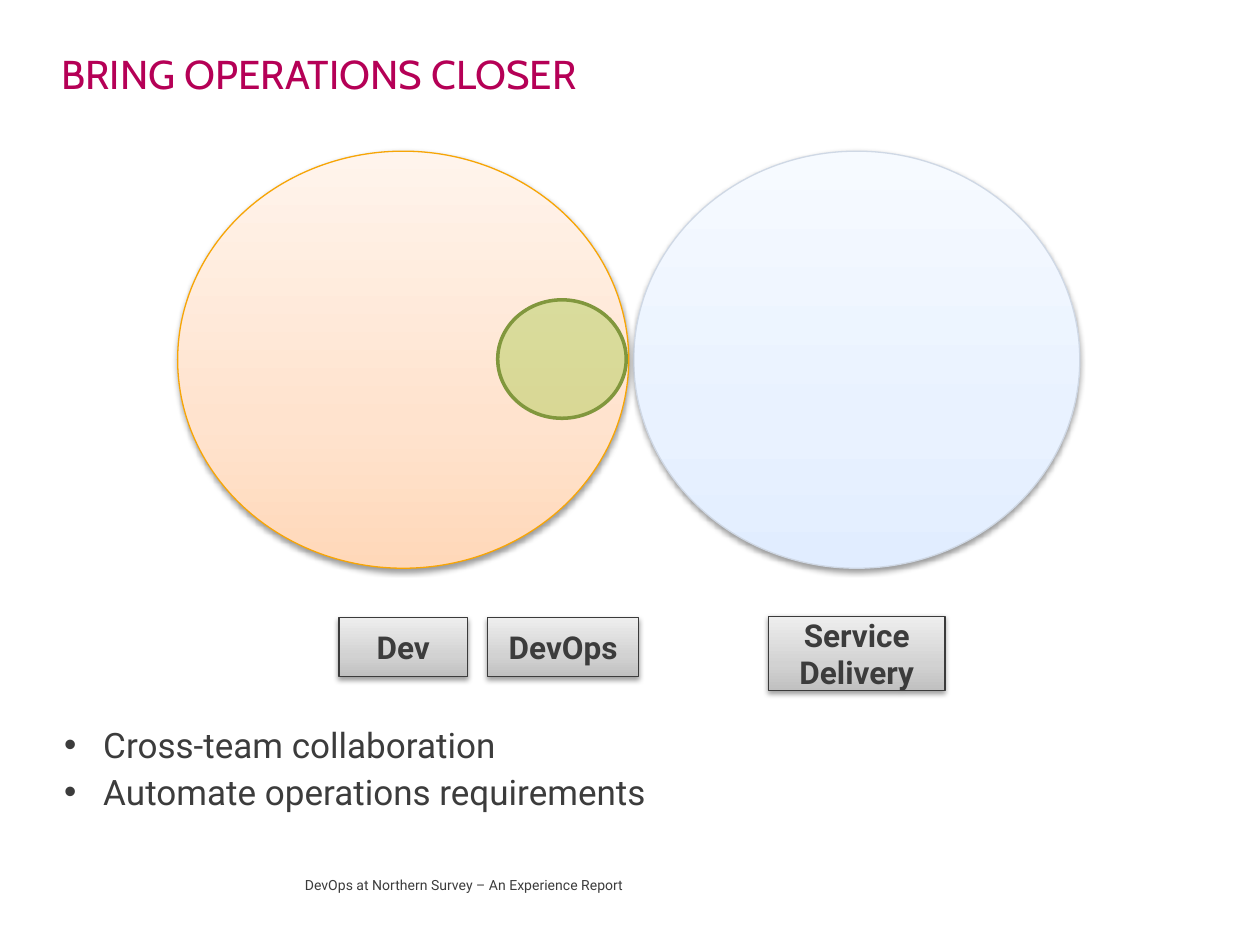
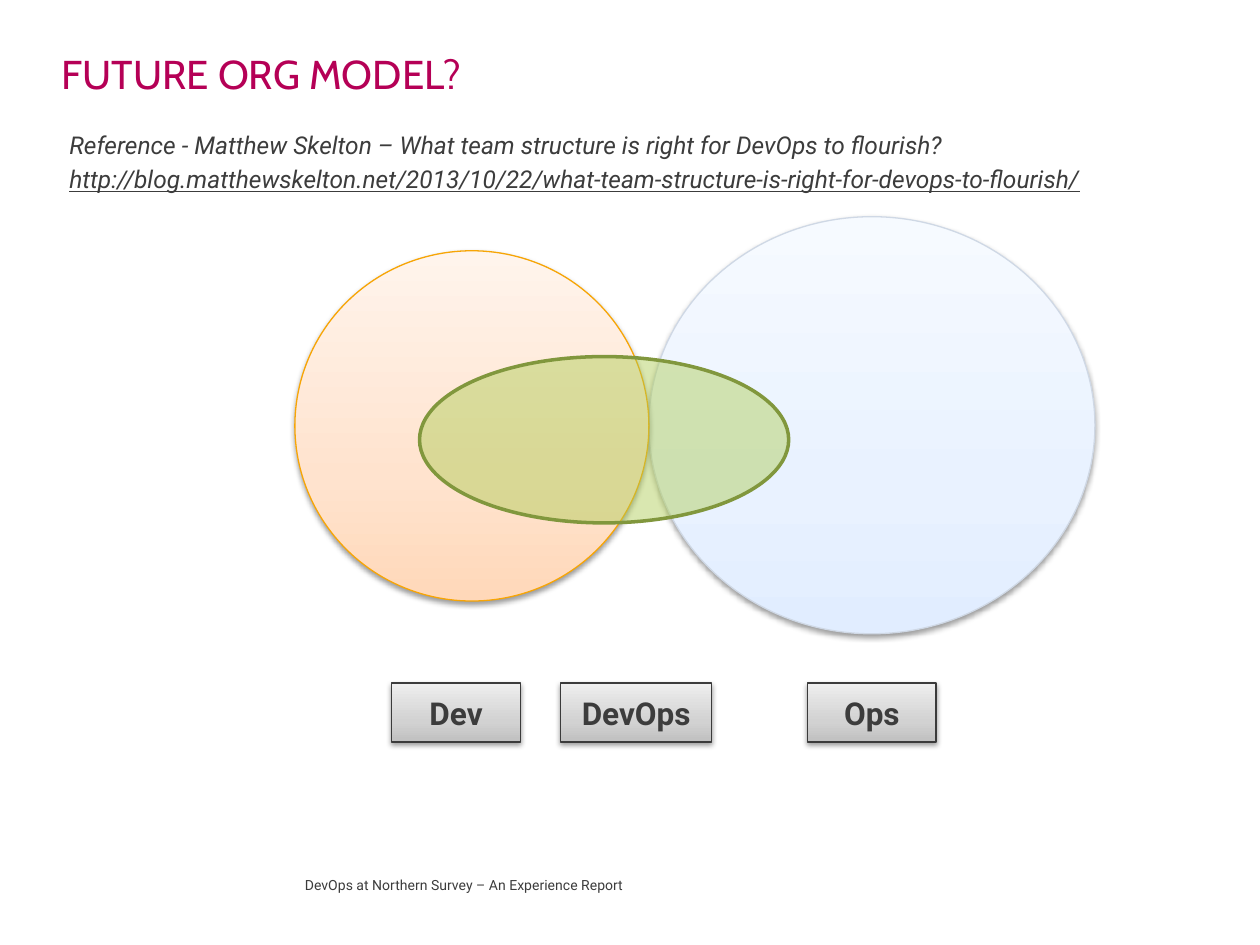
from pptx import Presentation
from pptx.dml.color import RGBColor as RGB
from pptx.enum.shapes import MSO_SHAPE as Kind
from pptx.enum.text import MSO_ANCHOR as Anchor, PP_ALIGN as Align
from pptx.oxml import parse_xml
from pptx.oxml.ns import nsdecls
from pptx.util import Inches, Pt
from lxml.etree import SubElement as Sub

INK = {"title": "B50056", "text": "3C3C3C"}
# Fill stops run from bottom to top
LOOKS = {
    "ops": {"line": "CFD8E5", "stops": ["E1EDFF", "E9F2FF", "F6FAFF"]},
    "dev": {"line": "F7A505", "stops": ["FFD8B9", "FFE3CE", "FFF4EC"]},
    "label": {"line": "3B3B3B", "stops": ["C0C0C0", "D2D2D2", "EEEEEE"]},
    "both": {"line": "81973D", "fill": "AECC53"},
}
NS = nsdecls("a")

deck = Presentation()
deck.slide_width, deck.slide_height = Inches(10), Inches(7.5)
# Grid of 100 columns by 75 rows
COL, ROW = deck.slide_width / 100, deck.slide_height / 75


def write(shape, lines, size, font="Roboto", color="text", pad=(0, 0, 0.1, 0.05),
          anchor=Anchor.TOP, align=Align.LEFT, gap=0, bullet=False, **style):
    frame = shape.text_frame
    frame.word_wrap = True
    frame.vertical_anchor = anchor
    (frame.margin_left, frame.margin_top,
     frame.margin_right, frame.margin_bottom) = map(Inches, pad)
    for i, line in enumerate(lines):
        para = frame.paragraphs[0] if i == 0 else frame.add_paragraph()
        para.alignment = align
        if i:
            para.space_before = Pt(gap)
        if bullet:
            props = para._p.get_or_add_pPr()
            props.set("marL", str(Inches(0.31)))
            props.set("indent", str(-Inches(0.31)))
            props.append(parse_xml(f'<a:buFont {NS} typeface="Arial"/>'))
            props.append(parse_xml(f'<a:buChar {NS} char="•"/>'))
        run = para.add_run()
        run.text = line
        run.font.name, run.font.size = font, Pt(size)
        run.font.color.rgb = RGB.from_string(INK[color])
        for key, value in style.items():
            setattr(run.font, key, value)
        run.font.underline = True if line.startswith("http") else None


def place(slide, grid, look=None):
    x, y, w, h = grid
    box = [int(v) for v in (x * COL, y * ROW, w * COL, h * ROW)]
    if look is None:
        return slide.shapes.add_textbox(*box)
    kind = Kind.RECTANGLE if look == "label" else Kind.OVAL
    shape = slide.shapes.add_shape(kind, *box)
    tint = LOOKS[look]
    shape.line.color.rgb = RGB.from_string(tint["line"])
    shape.line.width = Pt(2 if "fill" in tint else 0.75)
    shape.shadow.inherit = False
    props = shape._element.spPr
    if "fill" in tint:
        shape.fill.solid()
        shape.fill.fore_color.rgb = RGB.from_string(tint["fill"])
        Sub(props.find(".//{*}solidFill/{*}srgbClr"),
            "{http://schemas.openxmlformats.org/drawingml/2006/main}alpha", val="46000")
        return shape
    stops = "".join(f'<a:gs pos="{pos}000"><a:srgbClr val="{hue}"/></a:gs>'
                    for pos, hue in zip((0, 35, 100), tint["stops"]))
    props.insert(2, parse_xml(
        f'<a:gradFill {NS} rotWithShape="1"><a:gsLst>{stops}</a:gsLst>'
        '<a:lin ang="16200000" scaled="0"/></a:gradFill>'))
    props.find("{*}effectLst").append(parse_xml(
        f'<a:outerShdw {NS} blurRad="{Pt(3.1)}" dist="{Pt(1.6)}" dir="5400000" '
        'rotWithShape="0"><a:srgbClr val="000000"><a:alpha val="38000"/>'
        '</a:srgbClr></a:outerShdw>'))
    return shape


# What each slide shows: circles and labels on the grid
PAGES = [
    {"title": "BRING OPERATIONS CLOSER",
     "rings": [("ops", (50.3, 12, 35.4, 33.1)),
               ("dev", (14.1, 12, 35.8, 33.1)),
               ("both", (39.5, 23.8, 10.2, 9.4))],
     "labels": [("Dev", (26.9, 49, 10.2, 4.7)),
                ("DevOps", (38.7, 49, 12, 4.7)),
                ("Service Delivery", (61, 48.9, 14, 5.9))],
     "body": (5.1, 57.4, 90, 9.2),
     "lines": ["Cross-team collaboration", "Automate operations requirements"],
     "style": {"size": 20, "bullet": True}},
    {"title": "FUTURE ORG MODEL?",
     "rings": [("ops", (51.5, 17.2, 35.4, 33.1)),
               ("dev", (23.4, 19.9, 28.1, 27.8)),
               ("both", (33.3, 28.3, 29.3, 13.2))],
     "labels": [("Dev", (31.1, 54.2, 10.2, 4.7)),
                ("DevOps", (44.5, 54.2, 12, 4.7)),
                ("Ops", (64.1, 54.2, 10.2, 4.7))],
     "body": (5.5, 10.3, 90, 6.3),
     "lines": ["Reference - Matthew Skelton – What team structure is right for "
               "DevOps to flourish?",
               "http://blog.matthewskelton.net/2013/10/22/"
               "what-team-structure-is-right-for-devops-to-flourish/"],
     "style": {"size": 14, "italic": True}},
]

for page in PAGES:
    slide = deck.slides.add_slide(deck.slide_layouts[6])

    # Title and footer
    write(place(slide, (4.9, 3.9, 90, 4.4)), [page["title"]], 23,
          font="Cabin", color="title", pad=(0, 0, 0, 0))
    write(place(slide, (24.2, 68.3, 31.7, 3.9)),
          ["DevOps at Northern Survey – An Experience Report"], 8,
          pad=(0, 0.05, 0.1, 0.05), anchor=Anchor.MIDDLE)

    # Team circles
    for look, grid in page["rings"]:
        place(slide, grid, look)

    # Team labels
    for name, grid in page["labels"]:
        write(place(slide, grid, "label"), [name], 18, pad=(0.1, 0.05, 0.1, 0.05),
              anchor=Anchor.MIDDLE, align=Align.CENTER, bold=True)

    # Body text
    write(place(slide, page["body"]), page["lines"], gap=3, **page["style"])

deck.save("out.pptx")
